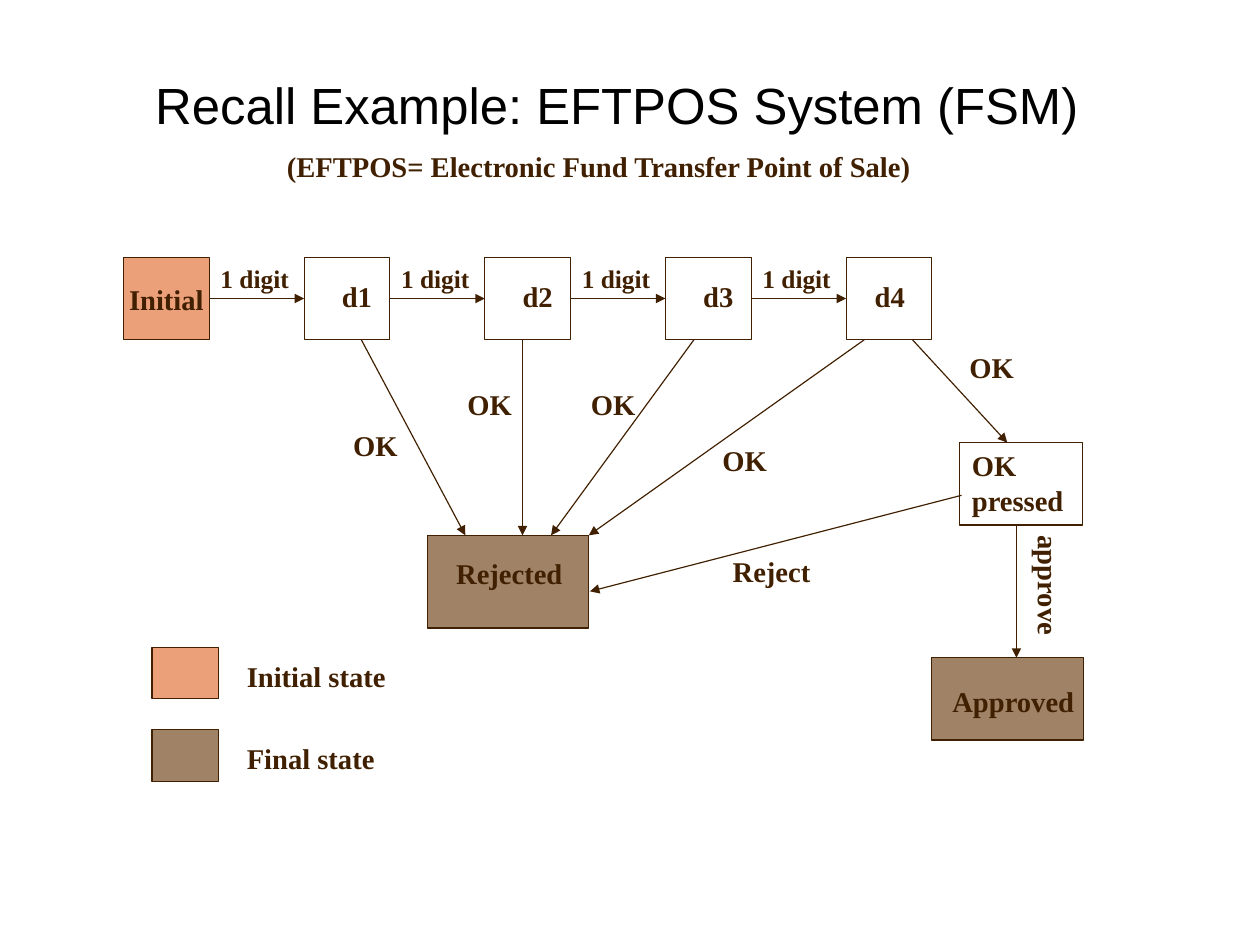
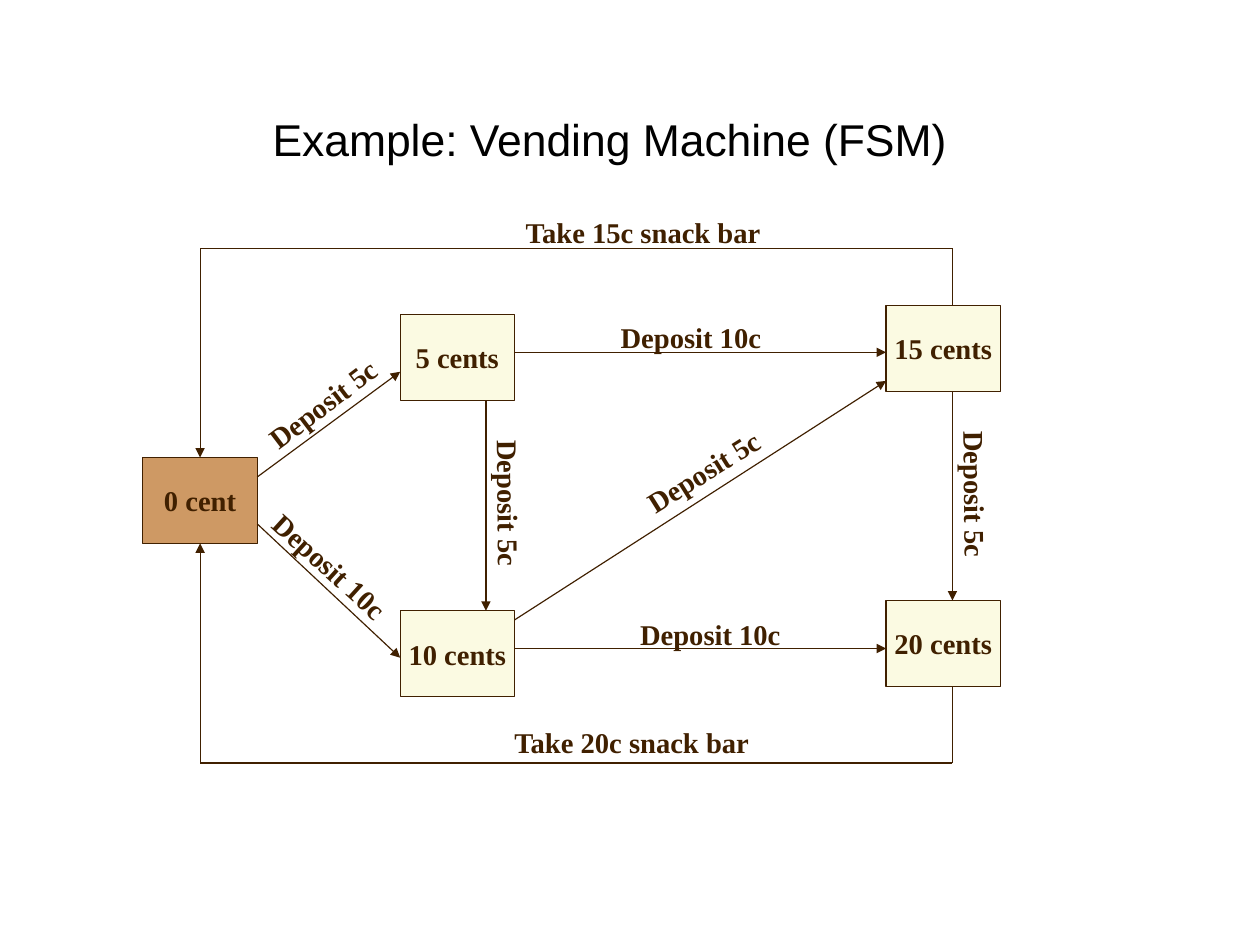
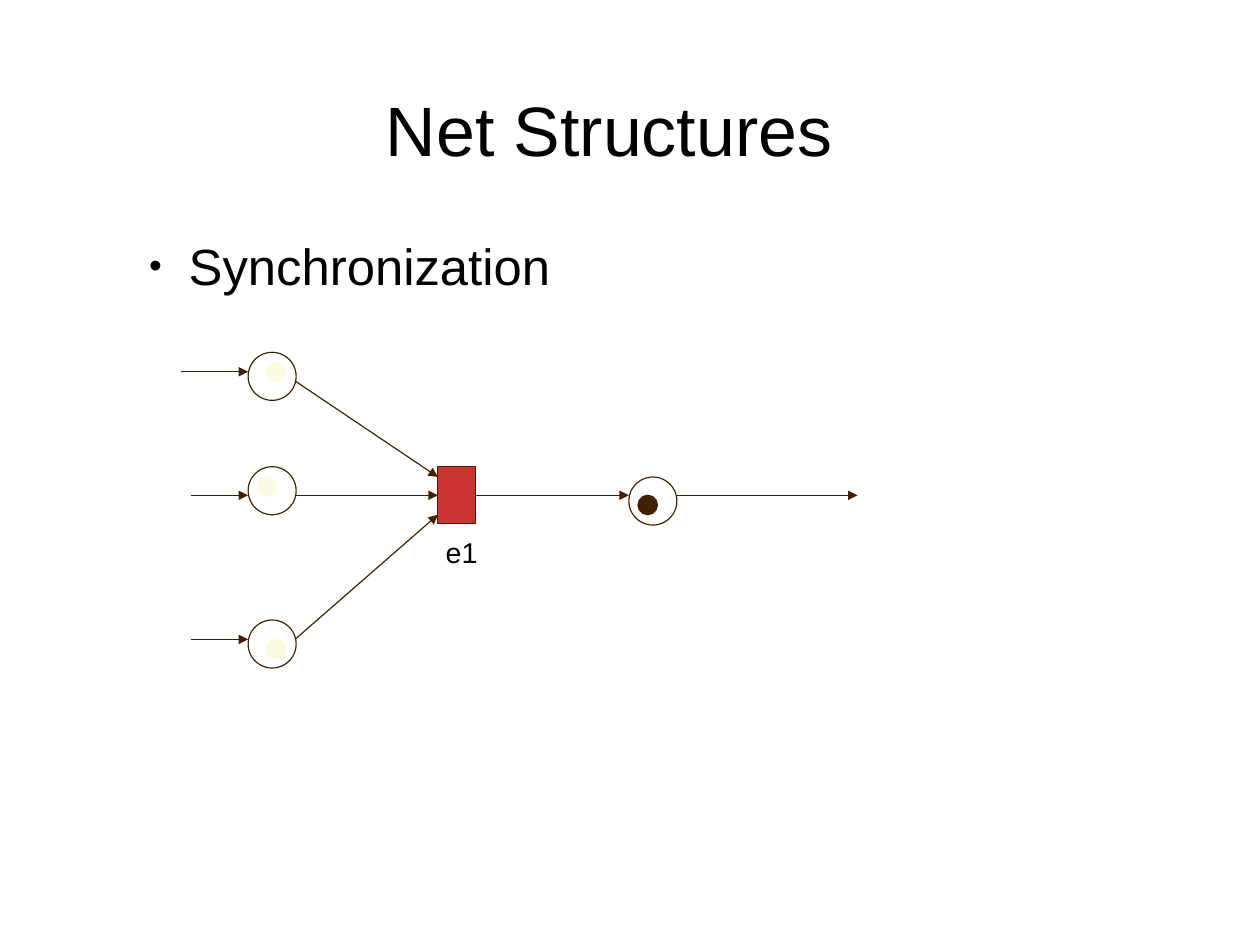
from lxml import etree
from pptx import Presentation
from pptx import util as u
from pptx.dml import color
from pptx.enum import shapes, text
from pptx.oxml import ns

PX = 9144
INK, BLACK = "402000", "000000"
SALMON, TAUPE, TAN, CREAM, RED = "ECA07A", "A08366", "CE9964", "FBFAE2", "CD3333"
SERIF, SANS = "Times New Roman", "Arial"


def px(*values):
    return [u.Emu(round(v * PX)) for v in values]


def rgb(value):
    return color.RGBColor.from_string(value)


def add_xml(parent, tag, **attrs):
    return etree.SubElement(parent, ns.qn(tag), attrs)


def style(p, size=18, name=SERIF, ink=INK, bold=True):
    p.font.size = u.Pt(size)
    p.font.name = name
    p.font.bold = bold
    p.font.color.rgb = rgb(ink)


def place(sp, at):
    sp.left, sp.top, sp.width, sp.height = px(*at)


def title(s, words, at, size):
    sp = s.shapes.title
    place(sp, at)
    tf = sp.text_frame
    tf.text = words
    tf.auto_size = text.MSO_AUTO_SIZE.NONE
    tf.vertical_anchor = text.MSO_ANCHOR.MIDDLE
    p = tf.paragraphs[0]
    p.alignment = text.PP_ALIGN.CENTER
    style(p, size, SANS, BLACK, False)


def bullet(s, words, at):
    sp = s.placeholders[1]
    place(sp, at)
    tf = sp.text_frame
    tf.text = words
    tf.auto_size = text.MSO_AUTO_SIZE.NONE
    p = tf.paragraphs[0]
    pPr = p._p.get_or_add_pPr()
    pPr.set("marL", str(47 * PX))
    pPr.set("indent", str(-35 * PX))
    add_xml(add_xml(pPr, "a:buClr"), "a:srgbClr", val=BLACK)
    add_xml(pPr, "a:buSzPct", val="45000")
    add_xml(pPr, "a:buFont", typeface=SANS)
    add_xml(pPr, "a:buChar", char="●")
    p.alignment = text.PP_ALIGN.JUSTIFY
    style(p, 32, SANS, BLACK, False)


def shape(s, kind, at, fill=None, line=INK):
    sp = s.shapes.add_shape(kind, *px(*at))
    sp.shadow.inherit = False
    if fill:
        sp.fill.solid()
        sp.fill.fore_color.rgb = rgb(fill)
    else:
        sp.fill.background()
    sp.line.color.rgb = rgb(line)
    sp.line.width = u.Pt(0.75)
    return sp


def box(s, at, words="", fill=None, inset=None):
    sp = shape(s, shapes.MSO_SHAPE.RECTANGLE, at, fill)
    if words:
        tf = sp.text_frame
        tf.text = words
        tf.word_wrap = True
        left, top = inset or (0, 0)
        tf.margin_left, tf.margin_top, tf.margin_right, tf.margin_bottom = px(left, top, 0, 0)
        tf.vertical_anchor = text.MSO_ANCHOR.TOP if inset else text.MSO_ANCHOR.MIDDLE
        for p in tf.paragraphs:
            p.alignment = text.PP_ALIGN.LEFT if inset else text.PP_ALIGN.CENTER
            style(p)
    return sp


def circle(s, x, y, d, fill=None, line=INK):
    return shape(s, shapes.MSO_SHAPE.OVAL, (x, y, d, d), fill, line)


def label(s, words, x, y, w, h=40, turn=0, **font):
    sp = s.shapes.add_textbox(*px(x, y, w, h))
    sp.rotation = turn
    tf = sp.text_frame
    tf.word_wrap = True
    tf.margin_right = 0
    tf.text = words
    style(tf.paragraphs[0], **font)


def line(s, start, end, head=True, begin=None, finish=None):
    c = s.shapes.add_connector(shapes.MSO_CONNECTOR.STRAIGHT, *px(*start, *end))
    c.line.color.rgb = rgb(INK)
    c.line.width = u.Pt(0.75)
    if head:
        add_xml(c.line._get_or_add_ln(), "a:tailEnd", type="triangle")
    add_xml(c._element.spPr, "a:effectLst")
    if begin:
        c.begin_connect(*begin)
    if finish:
        c.end_connect(*finish)


def route(s, points, finish):
    last = len(points) - 2
    for i, (start, end) in enumerate(zip(points, points[1:])):
        line(s, start, end, i == last, finish=finish if i == last else None)


def eftpos(prs):
    s = prs.slides.add_slide(prs.slide_layouts[5])
    title(s, "Recall Example: EFTPOS System (FSM)", (70, 41, 940, 100), 32)
    label(s, "(EFTPOS= Electronic Fund Transfer Point of Sale)", 241, 125, 569)

    left, step, top, w, h = 108, 158, 225, 75, 72
    previous = box(s, (left, top, w, h), "Initial", SALMON)
    for i in range(1, 5):
        x = left + i * step
        digit = box(s, (x, top, w, h), f"d{i}", inset=(25 if i == 4 else 33, 19))
        y = top + h // 2
        line(s, (x - step + w, y), (x, y), begin=(previous, 3), finish=(digit, 1))
        label(s, "1 digit", x - step + w, top, 79, 37, size=16)
        previous = digit

    box(s, (839, 387, 108, 72), "OK\npressed", inset=(11, 5))
    box(s, (815, 575, 133, 72), "Approved", TAUPE, (18, 23))
    box(s, (374, 468, 141, 81), "Rejected", TAUPE, (25, 18))

    for start, end in [((798, 297), (881, 387)), ((889, 459), (889, 575)),
                       ((756, 297), (515, 468)), ((607, 297), (482, 468)),
                       ((457, 297), (457, 468)), ((316, 297), (407, 468)),
                       ((841, 433), (516, 517))]:
        line(s, start, end)
    for x, y in [(838, 301), (622, 382), (507, 333), (399, 333), (299, 369)]:
        label(s, "OK", x, y, 59)
    label(s, "approve", 864, 492, 107, turn=90)
    label(s, "Reject", 631, 479, 88)

    for y, words, w, fill in [(566, "Initial state", 141, SALMON),
                              (638, "Final state", 132, TAUPE)]:
        box(s, (133, y, 58, 45), fill=fill)
        label(s, words, 206, y + 5, w)


def vending(prs):
    s = prs.slides.add_slide(prs.slide_layouts[5])
    title(s, "Example: Vending Machine (FSM)", (108, 75, 850, 92), 28)
    zero = box(s, (125, 400, 100, 75), "0 cent", TAN)
    for x, y, words in [(350, 275, "5 cents"), (350, 534, "10 cents"),
                        (775, 267, "15 cents"), (775, 525, "20 cents")]:
        box(s, (x, y, 100, 75), words, CREAM)

    for start, end in [((225, 417), (350, 325)), ((225, 458), (350, 575)),
                       ((450, 308), (775, 308)), ((450, 567), (775, 567)),
                       ((425, 350), (425, 534)), ((450, 542), (775, 333)),
                       ((833, 342), (833, 525))]:
        line(s, start, end)
    route(s, [(833, 600), (833, 667), (175, 667), (175, 475)], (zero, 2))
    route(s, [(833, 267), (833, 217), (175, 217), (175, 400)], (zero, 0))

    for x, y, turn in [(217, 333, 322.8), (380, 420, 89.5),
                       (550, 392, 327.9), (788, 412, 89.4)]:
        label(s, "Deposit 5c", x, y, 130, turn=turn)
    for x, y, turn in [(217, 475, 42.2), (533, 275, 0), (550, 534, 0)]:
        label(s, "Deposit 10c", x, y, 143, turn=turn)
    label(s, "Take 20c snack bar", 440, 629, 227)
    label(s, "Take 15c snack bar", 450, 183, 227)


def net(prs):
    s = prs.slides.add_slide(prs.slide_layouts[1])
    title(s, "Net Structures", (108, 50, 850, 125), 44)
    bullet(s, "Synchronization", (108, 200, 850, 450))

    event = box(s, (383, 408, 33, 50), fill=RED)
    for x, y in [(233, 317), (225, 417), (233, 559)]:
        circle(s, x, y, 17, CREAM, CREAM)
    circle(s, 558, 433, 17, INK)
    for x, y in [(217, 308), (217, 408), (217, 542), (550, 417)]:
        circle(s, x, y, 42)

    for start, end in [((158, 325), (217, 325)), ((167, 433), (217, 433)),
                       ((167, 559), (217, 559)), ((258, 333), (383, 417)),
                       ((258, 559), (383, 450)), ((591, 433), (750, 433))]:
        line(s, start, end)
    line(s, (258, 433), (383, 433), finish=(event, 1))
    line(s, (416, 433), (550, 433), begin=(event, 3))
    label(s, "e1", 380, 463, 47, name=SANS, ink=BLACK, bold=False)


def main():
    prs = Presentation()
    prs.slide_width, prs.slide_height = px(1102, 827)
    eftpos(prs)
    vending(prs)
    net(prs)
    prs.save("out.pptx")


if __name__ == "__main__":
    main()
